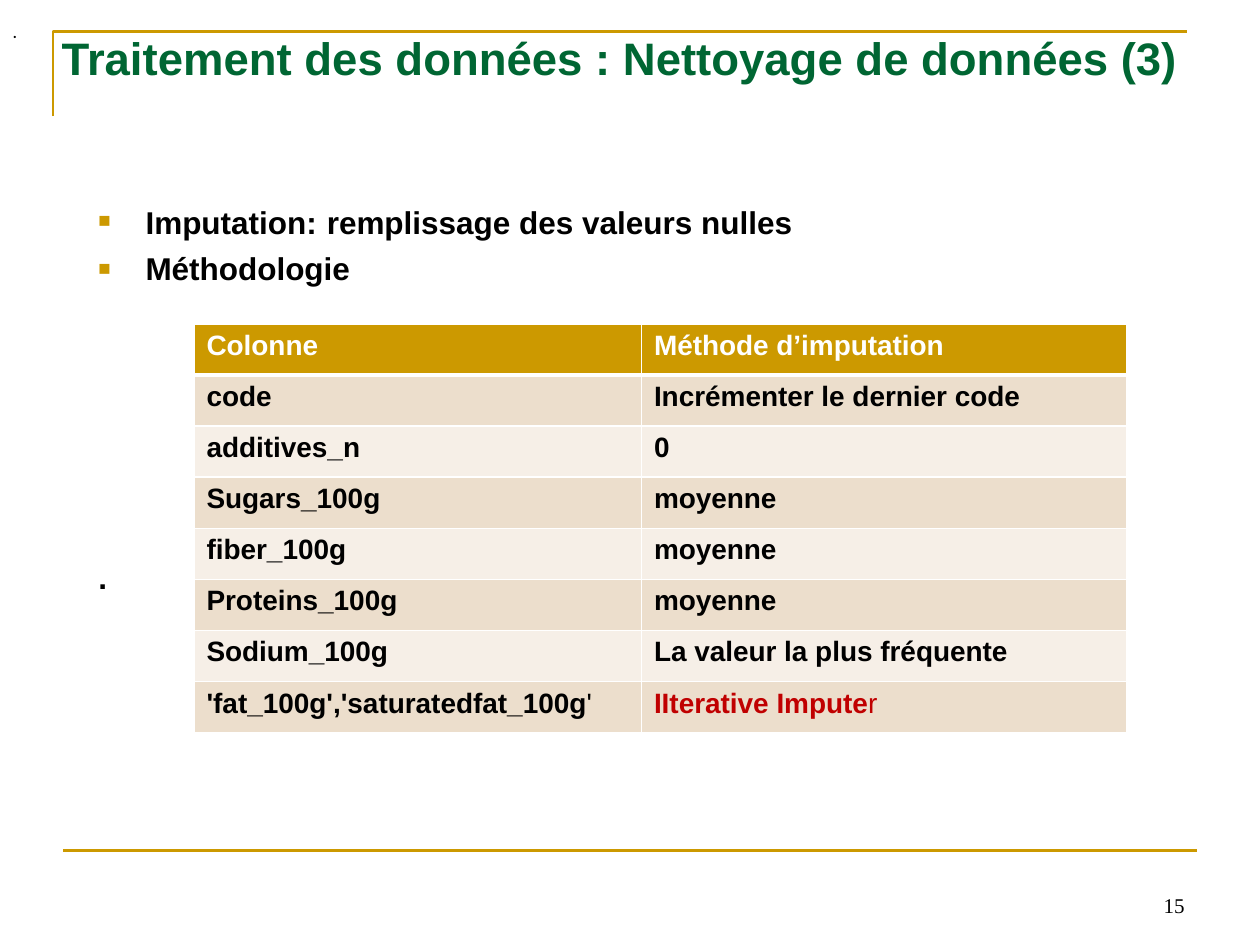
from lxml.etree import SubElement
from pptx import Presentation
from pptx.dml.color import RGBColor
from pptx.enum.text import MSO_ANCHOR, MSO_AUTO_SIZE, PP_ALIGN
from pptx.oxml.ns import qn
from pptx.util import Cm, Pt

COLORS = {
    "gold": "CC9900", "green": "006633", "black": "000000", "white": "FFFFFF",
    "red": "C00000", "band_dark": "ECDECC", "band_light": "F6EFE7",
}
ROWS = [
    ("Colonne", "Méthode d’imputation"),
    ("code", "Incrémenter le dernier code"),
    ("additives_n", "0"),
    ("Sugars_100g", "moyenne"),
    ("fiber_100g", "moyenne"),
    ("Proteins_100g", "moyenne"),
    ("Sodium_100g", "La valeur la plus fréquente"),
    ("'fat_100g','saturatedfat_100g", "IIterative Impute"),
]
LIGHT_ENDINGS = ("'", "r")


def rgb(name):
    return RGBColor.from_string(COLORS[name])


def set_font(font, size, color="black", bold=False, name="Arial"):
    font.name, font.size, font.bold = name, Pt(size), bold
    font.color.rgb = rgb(color)


def add_span(para, text):
    span = para.add_run()
    span.text = text
    return span


class SlideBuilder:
    """Holds the deck, the current page and the shared style."""

    font_name = "Arial"
    rule_width = Pt(1.5)

    def __init__(self):
        self.deck = Presentation()
        self.deck.slide_width, self.deck.slide_height = Cm(25.4), Cm(19.05)
        self.page = self.deck.slides.add_slide(self.deck.slide_layouts[1])

    def style_rule(self, rule):
        rule.line.color.rgb = rgb("gold")
        rule.line.width = self.rule_width

    def corner(self, points):
        start, *others = [(Cm(x), Cm(y)) for x, y in points]
        builder = self.page.shapes.build_freeform(*start)
        builder.add_line_segments(others, close=False)
        shape = builder.convert_to_shape()
        shape.fill.background()
        shape.shadow.inherit = False
        self.style_rule(shape)

    def rule(self, left, right, top):
        line = self.page.shapes.add_connector(1, Cm(left), Cm(top), Cm(right), Cm(top))
        self.style_rule(line)
        SubElement(line._element.spPr, qn("a:effectLst"))

    def place(self, shape, left, top, width, height):
        shape.left, shape.top = Cm(left), Cm(top)
        shape.width, shape.height = Cm(width), Cm(height)
        frame = shape.text_frame
        frame.auto_size = MSO_AUTO_SIZE.NONE
        frame.vertical_anchor = MSO_ANCHOR.TOP
        return frame

    def title(self, text, *area):
        frame = self.place(self.page.shapes.title, *area)
        frame.text = text
        para = frame.paragraphs[0]
        para.alignment = PP_ALIGN.LEFT
        set_font(para.font, 26, "green", True, self.font_name)

    def body(self, items, *area):
        """Each item is (list of (text, size), space before, bulleted)."""
        frame = self.place(self.page.placeholders[1], *area)
        for index, (spans, space, bulleted) in enumerate(items):
            para = frame.add_paragraph() if index else frame.paragraphs[0]
            para.alignment = PP_ALIGN.JUSTIFY
            para.space_before = Pt(space)
            self.bullet(para, bulleted)
            set_font(para.font, 18, "black", True, self.font_name)
            for text, size in spans:
                add_span(para, text).font.size = Pt(size)

    def bullet(self, para, shown):
        props = para._p.get_or_add_pPr()
        indent = Cm(0.95 if shown else 0.48)
        props.set("marL", str(indent))
        props.set("indent", str(-indent))
        if not shown:
            SubElement(props, qn("a:buNone"))
            return
        color = SubElement(props, qn("a:buClr"))
        SubElement(color, qn("a:srgbClr"), val=COLORS["gold"])
        SubElement(props, qn("a:buSzPct"), val="65000")
        SubElement(props, qn("a:buFont"), typeface=self.font_name)
        SubElement(props, qn("a:buChar"), char="■")

    def label(self, text, area, size, font, align, anchor, wrap=True):
        box = self.page.shapes.add_textbox(*(Cm(length) for length in area))
        frame = box.text_frame
        frame.word_wrap, frame.vertical_anchor = wrap, anchor
        para = frame.paragraphs[0]
        para.alignment = align
        set_font(para.font, size, name=font)
        add_span(para, text)

    def table(self, rows, left, top, widths, row_height):
        frame = self.page.shapes.add_table(
            len(rows), len(widths), Cm(left), Cm(top),
            Cm(sum(widths)), Cm(row_height * len(rows)))
        grid = frame.table
        for column, width in zip(grid.columns, widths):
            column.width = Cm(width)
        for row_index, texts in enumerate(rows):
            last = row_index == len(rows) - 1
            for column_index, text in enumerate(texts):
                cell = grid.cell(row_index, column_index)
                self.borders(cell, row_index)
                cell.fill.solid()
                band = "band_dark" if row_index % 2 else "band_light"
                cell.fill.fore_color.rgb = rgb(band if row_index else "gold")
                color = "black" if row_index else "white"
                if last and column_index == 1:
                    color = "red"
                para = cell.text_frame.paragraphs[0]
                set_font(para.font, 16, color, True, self.font_name)
                add_span(para, text).font.bold = True
                if last:
                    add_span(para, LIGHT_ENDINGS[column_index]).font.bold = False

    def borders(self, cell, row_index):
        """White borders, thick between the header and the first row."""
        props = cell._tc.get_or_add_tcPr()
        for side in "LRTB":
            thick = (row_index, side) in ((0, "B"), (1, "T"))
            line = SubElement(props, qn(f"a:ln{side}"), w=str(Pt(3 if thick else 1)))
            fill = SubElement(line, qn("a:solidFill"))
            SubElement(fill, qn("a:srgbClr"), val=COLORS["white"])


def main():
    slide = SlideBuilder()
    slide.corner([(1.07, 2.34), (1.07, 0.64), (23.93, 0.64)])
    slide.rule(1.27, 24.13, 17.15)
    slide.title("Traitement des données : Nettoyage de données (3)", 0.99, 0.48, 23.39, 2.62)
    slide.body([
        ([("Imputation:", 18), (" ", 20), ("remplissage des valeurs nulles", 18)], 4, True),
        ([("Méthodologie", 18)], 4.5, True),
        ([(".", 18)], 155, False),
    ], 1.73, 3.89, 23.14, 14.53)
    slide.label("15", (18.21, 17.35, 5.92, 1.27), 12, "Times New Roman",
                PP_ALIGN.RIGHT, MSO_ANCHOR.BOTTOM)
    slide.label(".", (0, 0.3, 0.69, 0.69), 10, "Inter",
                PP_ALIGN.LEFT, MSO_ANCHOR.MIDDLE, wrap=False)
    slide.table(ROWS, 3.91, 6.53, (9.02, 9.78), 1.03)
    slide.deck.save("out.pptx")


if __name__ == "__main__":
    main()
